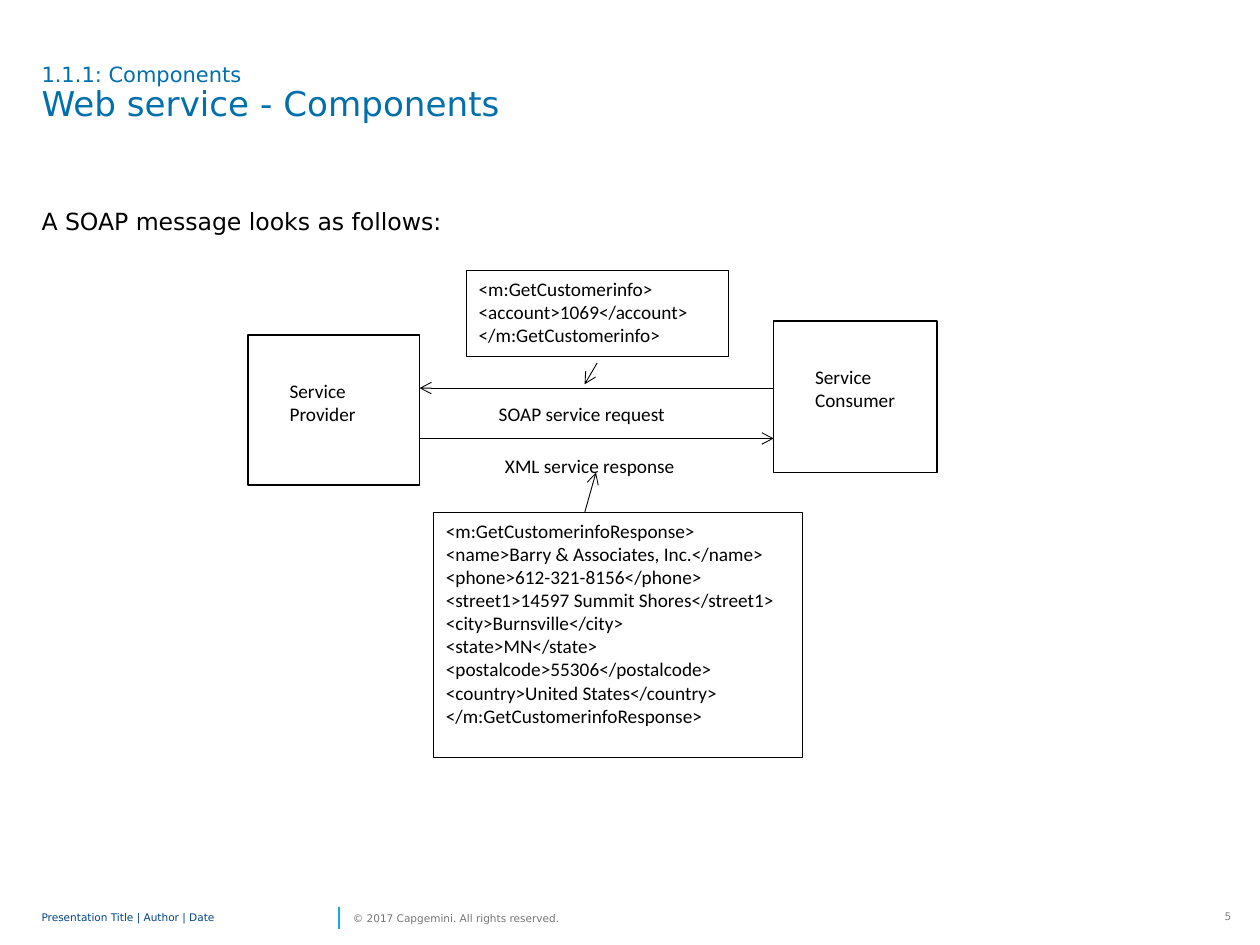
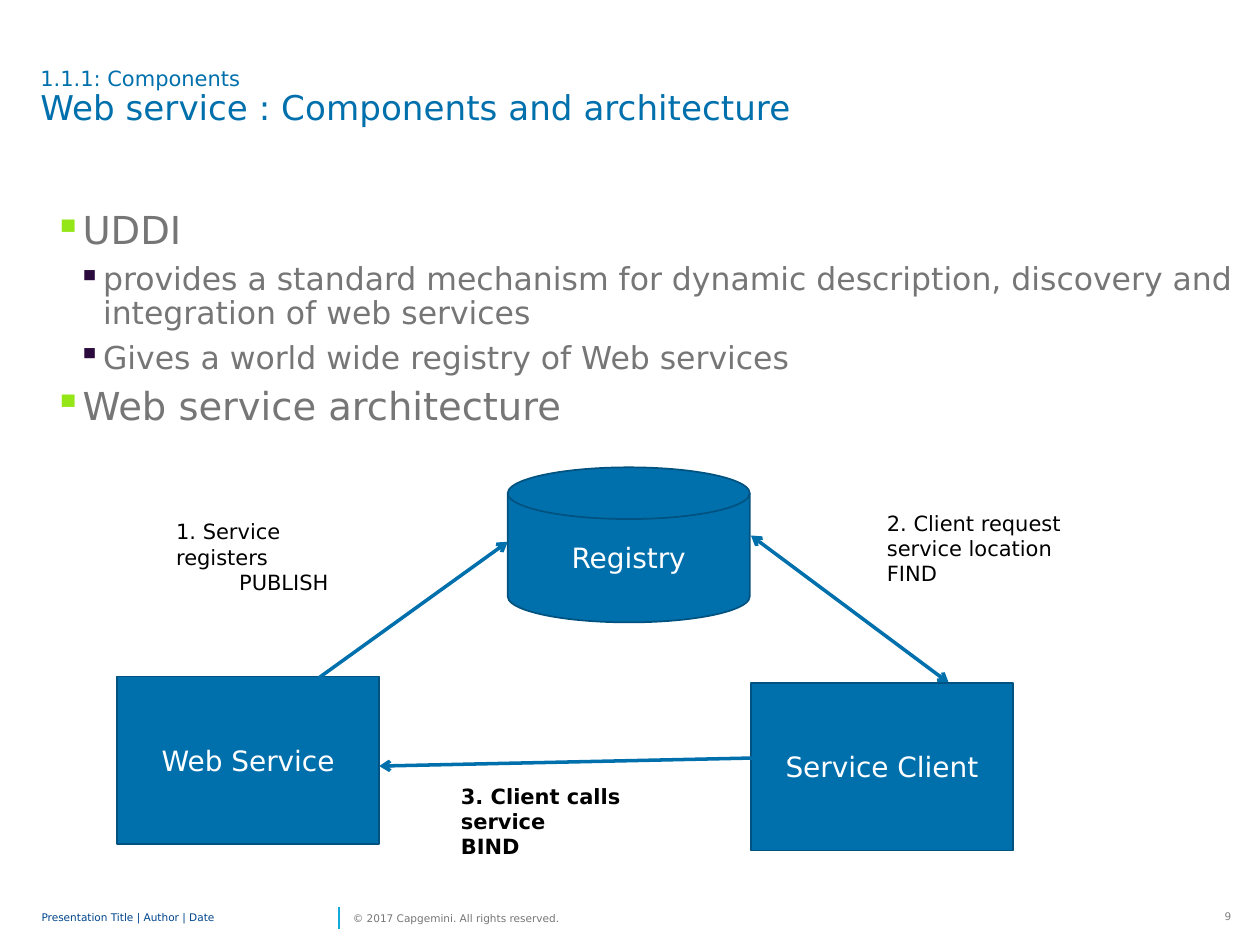
"""Builds two slides on the components and architecture of web services."""
from dataclasses import dataclass

from lxml.etree import SubElement
from pptx import Presentation
from pptx.dml.color import RGBColor
from pptx.enum.shapes import MSO_CONNECTOR, MSO_SHAPE
from pptx.enum.text import MSO_ANCHOR, PP_ALIGN
from pptx.oxml.ns import qn
from pptx.util import Inches, Pt


@dataclass(frozen=True)
class Theme:
    """Colours, fonts and type sizes of the deck."""
    blue: str = "0070AD"
    edge: str = "005380"
    navy: str = "00458D"
    cyan: str = "12ABDB"
    green: str = "95E616"
    purple: str = "2B0A3D"
    grey: str = "767676"
    number: str = "808080"
    black: str = "000000"
    white: str = "FFFFFF"
    sans: str = "DejaVu Sans"
    code: str = "Calibri"
    footer_size: float = 6
    kicker_size: float = 12
    title_size: float = 19.5
    lead_size: float = 13.5
    bullet_size: float = 22
    sub_size: float = 18
    node_size: float = 16
    label_size: float = 12
    code_size: float = 11


T = Theme()


def rgb(value):
    """Return the colour for a hex string."""
    return RGBColor.from_string(value)


def write(tf, text, size=T.label_size, color=T.black, font=T.sans, bold=False,
          align=PP_ALIGN.LEFT, spacing=None, after=None, bullet=None,
          left=0, hanging=0):
    """Add one formatted paragraph to a text frame."""
    p = tf.paragraphs[0]
    if p.runs:
        p = tf.add_paragraph()
    p.alignment = align
    p.line_spacing = spacing
    p.space_after = after
    if left:
        pPr = p._p.get_or_add_pPr()
        pPr.set("marL", str(Inches(left)))
        pPr.set("indent", str(-Inches(hanging)))
        if bullet:
            clr = SubElement(pPr, qn("a:buClr"))
            SubElement(clr, qn("a:srgbClr"), val=bullet)
            SubElement(pPr, qn("a:buChar"), char="▪")
    r = p.add_run()
    r.text = text
    r.font.size = Pt(size)
    r.font.name = font
    r.font.bold = bold
    r.font.color.rgb = rgb(color)


def text_box(slide, x, y, w, h, inset=True, anchor=MSO_ANCHOR.TOP, wrap=True):
    """Add an empty text box and return its text frame."""
    tf = slide.shapes.add_textbox(Inches(x), Inches(y), Inches(w), Inches(h)).text_frame
    tf.word_wrap = wrap
    tf.vertical_anchor = anchor
    if not inset:
        tf.margin_left = tf.margin_right = tf.margin_top = tf.margin_bottom = 0
    return tf


def box(slide, x, y, w, h, lines=(), kind=MSO_SHAPE.RECTANGLE, fill=T.white,
        line=None, weight=0.5, anchor=MSO_ANCHOR.TOP, **style):
    """Add a preset shape holding the given lines of text."""
    sp = slide.shapes.add_shape(kind, Inches(x), Inches(y), Inches(w), Inches(h))
    sp.shadow.inherit = False
    if fill:
        sp.fill.solid()
        sp.fill.fore_color.rgb = rgb(fill)
    else:
        sp.fill.background()
    if line:
        sp.line.color.rgb = rgb(line)
        sp.line.width = Pt(weight)
    else:
        sp.line.fill.background()
    tf = sp.text_frame
    tf.word_wrap = True
    tf.vertical_anchor = anchor
    for text in lines:
        write(tf, text, **style)


def code_box(slide, x, y, w, h, *lines, line=None):
    """Add a white box with plain code or label text."""
    box(slide, x, y, w, h, lines, line=line, size=T.code_size, font=T.code)


def node(slide, x, y, w, h, text, kind=MSO_SHAPE.RECTANGLE):
    """Add a blue architecture node with a centred name."""
    box(slide, x, y, w, h, [text], kind, T.blue, T.edge, 1, MSO_ANCHOR.MIDDLE,
        size=T.node_size, color=T.white, align=PP_ALIGN.CENTER)


def label(slide, x, y, w, h, step, action, bold=False, left=0):
    """Add a numbered step with its action name below."""
    tf = text_box(slide, x, y, w, h)
    write(tf, step, bold=bold)
    write(tf, action, bold=bold, left=left)


def connect(slide, start, end, color=T.black, weight=0.5, ends=("tailEnd",)):
    """Add a straight line with open arrowheads at the named ends."""
    c = slide.shapes.add_connector(
        MSO_CONNECTOR.STRAIGHT, *(Inches(v) for v in (*start, *end)))
    c.line.color.rgb = rgb(color)
    c.line.width = Pt(weight)
    ln = c.line._get_or_add_ln()
    for name in ends:
        SubElement(ln, qn(f"a:{name}"), type="arrow")
    SubElement(c._element.spPr, qn("a:effectLst"))


def add_slide(prs, number, title, x, y):
    """Add a slide with the shared footer and two-part title."""
    slide = prs.slides.add_slide(prs.slide_layouts[6])
    write(text_box(slide, 9.52, 7.17, 0.35, 0.2), str(number),
          size=T.footer_size, color=T.number, align=PP_ALIGN.RIGHT)
    connect(slide, (2.69, 7.37), (2.69, 7.2), T.cyan, 1, ends=())
    write(text_box(slide, 0.33, 7.17, 2.32, 0.24, False, MSO_ANCHOR.MIDDLE),
          "Presentation Title | Author | Date",
          size=T.footer_size, color=T.navy, spacing=0.85)
    write(text_box(slide, 2.8, 7.17, 1.82, 0.24, False, MSO_ANCHOR.MIDDLE, False),
          "© 2017 Capgemini. All rights reserved.",
          size=T.footer_size, color=T.grey)
    tf = text_box(slide, x, y, 9.33, 0.94, inset=False)
    write(tf, "1.1.1: Components", size=T.kicker_size, color=T.blue, spacing=0.9)
    write(tf, title, size=T.title_size, color=T.blue, spacing=0.9)
    return slide


def soap_slide(prs):
    """Build the slide with the SOAP request and response."""
    slide = add_slide(prs, 5, "Web service - Components", 0.33, 0.51)
    write(text_box(slide, 0.33, 1.64, 9.67, 5.08, inset=False),
          "A SOAP message looks as follows:",
          size=T.lead_size, spacing=Pt(16.5), after=Pt(4.5))

    box(slide, 1.97, 2.66, 1.36, 1.19, fill=None, line=T.black, weight=1)
    code_box(slide, 2.2, 2.96, 0.9, 0.66, "Service Provider")
    box(slide, 6.14, 2.55, 1.3, 1.2, fill=None, line=T.black, weight=1)
    code_box(slide, 6.37, 2.85, 0.89, 0.52, "Service Consumer")

    connect(slide, (6.14, 3.08), (3.33, 3.08))
    connect(slide, (3.33, 3.48), (6.14, 3.48))
    code_box(slide, 3.86, 3.14, 2.04, 0.23, "SOAP service request")
    code_box(slide, 3.91, 3.56, 1.94, 0.29, "XML service response")

    code_box(slide, 3.7, 2.15, 2.08, 0.68,
             "<m:GetCustomerinfo>",
             "<account>1069</account>",
             "</m:GetCustomerinfo>", line=T.black)
    code_box(slide, 3.44, 4.07, 2.93, 1.94,
             "<m:GetCustomerinfoResponse>",
             "<name>Barry & Associates, Inc.</name>",
             "<phone>612-321-8156</phone>",
             "<street1>14597 Summit Shores</street1>",
             "<city>Burnsville</city>",
             "<state>MN</state>",
             "<postalcode>55306</postalcode>",
             "<country>United States</country>",
             "</m:GetCustomerinfoResponse>", line=T.black)
    connect(slide, (4.74, 2.88), (4.64, 3.05))
    connect(slide, (4.64, 4.07), (4.73, 3.75))


def architecture_slide(prs):
    """Build the slide with the UDDI points and the architecture diagram."""
    slide = add_slide(prs, 9, "Web service : Components and architecture", 0.32, 0.54)
    main_point = dict(size=T.bullet_size, bullet=T.green, left=0.18, hanging=0.18)
    sub_point = dict(size=T.sub_size, bullet=T.purple, left=0.39, hanging=0.2)
    tf = text_box(slide, 0.33, 1.63, 9.67, 5.08)
    for text, style in (
        ("UDDI", main_point),
        ("provides a standard mechanism for dynamic description, discovery and "
         "integration of web services", sub_point),
        ("Gives a world wide registry of Web services", sub_point),
        ("Web service architecture", main_point),
    ):
        write(tf, text, color=T.grey, spacing=0.9, after=Pt(6), **style)

    connect(slide, (7.53, 5.42), (5.96, 4.25), T.blue, 2, ("headEnd", "tailEnd"))
    node(slide, 4.03, 3.71, 1.92, 1.23, "Registry", MSO_SHAPE.FLOWCHART_MAGNETIC_DISK)
    node(slide, 0.93, 5.37, 2.08, 1.33, "Web Service")
    node(slide, 5.96, 5.42, 2.08, 1.33, "Service Client")
    connect(slide, (2.53, 5.38), (4.03, 4.3), T.blue, 2)
    connect(slide, (6.26, 6.01), (3.01, 6.08), T.blue, 2)

    label(slide, 1.3, 4.07, 1.64, 0.5, "1. Service registers", "PUBLISH", left=0.5)
    label(slide, 6.94, 4, 1.92, 0.71, "2. Client request service location", "FIND")
    label(slide, 3.56, 6.17, 2.03, 0.5, "3. Client calls service", "BIND", bold=True)


def main():
    """Build and save the deck."""
    prs = Presentation()
    prs.slide_width, prs.slide_height = Inches(10), Inches(7.5)
    soap_slide(prs)
    architecture_slide(prs)
    prs.save("out.pptx")


if __name__ == "__main__":
    main()
